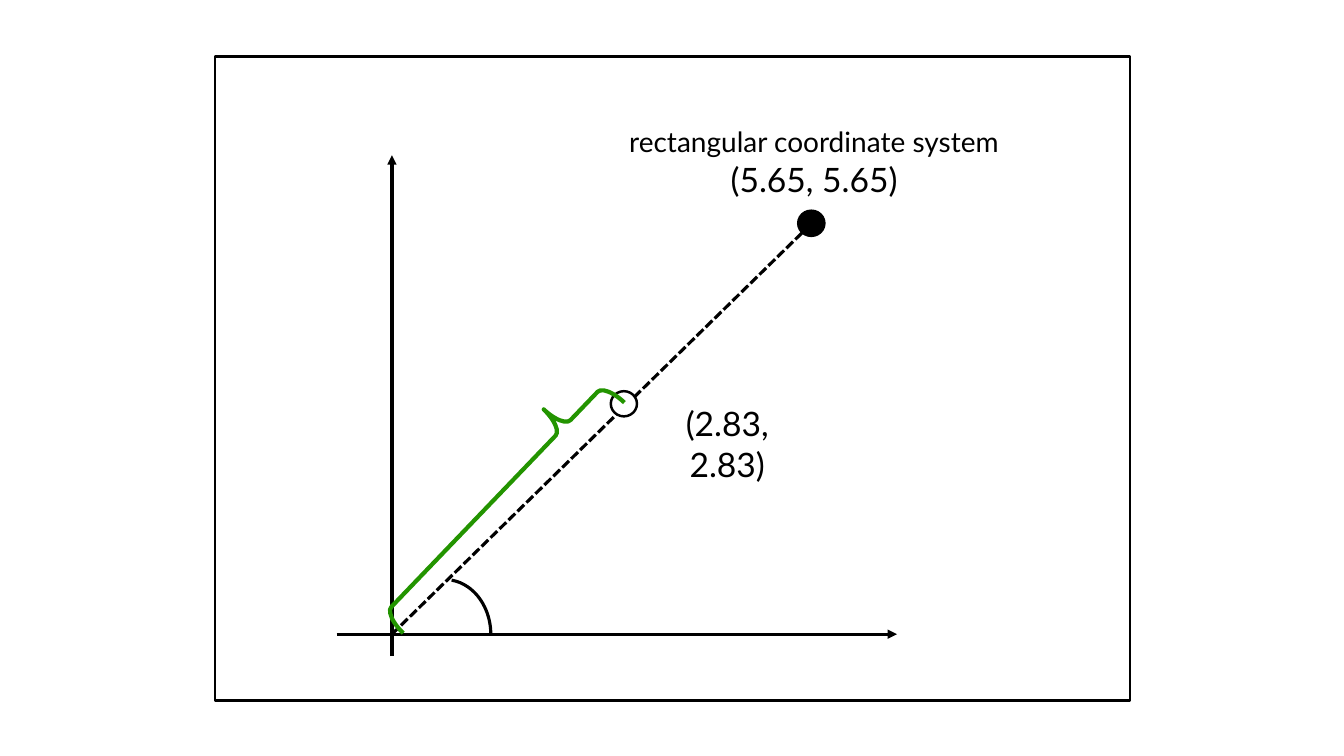
from pptx import Presentation
from pptx.dml.color import RGBColor
from pptx.enum.dml import MSO_LINE
from pptx.enum.shapes import MSO_CONNECTOR, MSO_SHAPE
from pptx.enum.text import MSO_AUTO_SIZE, PP_ALIGN
from pptx.oxml.ns import qn
from pptx.util import Pt
from lxml import etree

BLACK = RGBColor(0x00, 0x00, 0x00)
WHITE = RGBColor(0xFF, 0xFF, 0xFF)
GREEN = RGBColor(0x23, 0x94, 0x00)
STRAIGHT = MSO_CONNECTOR.STRAIGHT
RECT, OVAL = MSO_SHAPE.RECTANGLE, MSO_SHAPE.OVAL
ARC, BRACE = MSO_SHAPE.ARC, MSO_SHAPE.LEFT_BRACE
DASH = MSO_LINE.SQUARE_DOT
GROW = MSO_AUTO_SIZE.SHAPE_TO_FIT_TEXT
CENTER = PP_ALIGN.CENTER
FONT = "Lato"
ORIGIN_X, ORIGIN_Y = 280, 453


def apply(target, values):
    """Set each attribute named in values on target."""
    for name, value in values.items():
        setattr(target, name, value)


def stroke(line, width, color=BLACK):
    """Give a line its colour and width."""
    line.color.rgb = color
    line.width = Pt(width)


def add_line(slide, start, end, arrow=False):
    """Draw an axis with an arrow, or a dashed ray."""
    link = slide.shapes.add_connector(STRAIGHT, *map(Pt, start + end))
    stroke(link.line, 2.25)
    if not arrow:
        link.line.dash_style = DASH
    else:
        tail = etree.SubElement(link.line._get_or_add_ln(), qn("a:tailEnd"))
        tail.set("type", "triangle")
    etree.SubElement(link._element.spPr, qn("a:effectLst"))


def add_form(slide, kind, box, width, color=BLACK, fill=None, turn=0, bends=()):
    """Draw a preset shape with its outline, fill, turn and bends."""
    form = slide.shapes.add_shape(kind, *map(Pt, box))
    form.shadow.inherit = False
    form.rotation = turn
    for index, bend in enumerate(bends):
        form.adjustments[index] = bend
    if fill is None:
        form.fill.background()
    else:
        form.fill.solid()
        form.fill.fore_color.rgb = fill
    stroke(form.line, width, color)


def add_label(slide, box, lines):
    """Write centred lines of text, each with its own size."""
    frame = slide.shapes.add_textbox(*map(Pt, box)).text_frame
    apply(frame, {"word_wrap": True, "auto_size": GROW})
    for index, (text, size) in enumerate(lines):
        para = frame.add_paragraph() if index else frame.paragraphs[0]
        para.alignment = CENTER
        run = para.add_run()
        run.text = text
        apply(run.font, {"name": FONT, "size": Pt(size)})
        run.font.color.rgb = BLACK


def main():
    """Build the slide and save it."""
    deck = Presentation()
    apply(deck, {"slide_width": Pt(960), "slide_height": Pt(540)})
    slide = deck.slides.add_slide(deck.slide_layouts[6])

    add_line(slide, (ORIGIN_X, 468.7), (ORIGIN_X, 110.9), arrow=True)
    add_line(slide, (240.5, ORIGIN_Y), (640.8, ORIGIN_Y), arrow=True)
    add_line(slide, (ORIGIN_X, ORIGIN_Y), (585.4, 154.1))

    add_form(slide, RECT, (153.4, 40.3, 653.8, 460.1), 1.75)
    add_form(slide, OVAL, (570.2, 150.5, 18.7, 18), 1.75, fill=BLACK)
    add_form(slide, ARC, (285.1, 414, 65.5, 78.5), 2.25, bends=(166.18, 0))
    add_label(slide, (419.8, 85.7, 323.3, 60.5),
              [("rectangular coordinate system", 20), ("(5.65, 5.65)", 24)])
    add_form(slide, OVAL, (436.3, 279.4, 18.7, 18), 1.75, fill=WHITE)
    add_form(slide, BRACE, (334.1, 242.6, 38.2, 228.2), 3, GREEN,
             turn=43.8, bends=(0.2, 0.19))
    add_label(slide, (454.3, 284.4, 130.3, 36), [("(2.83, 2.83)", 24)])

    deck.save("out.pptx")


if __name__ == "__main__":
    main()
